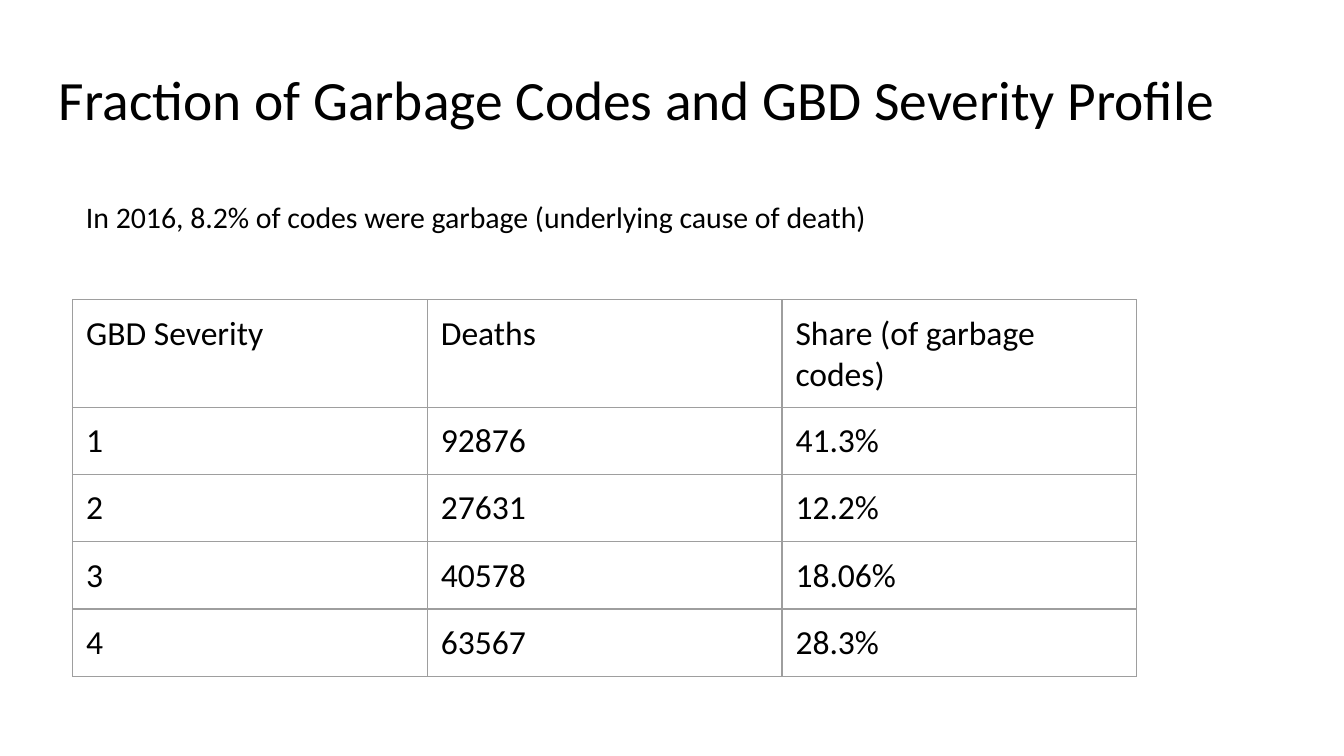
from lxml import etree
from pptx import Presentation
from pptx.dml.color import RGBColor
from pptx.oxml.ns import qn
from pptx.util import Pt

BLACK = RGBColor(0x00, 0x00, 0x00)
GREY = RGBColor(0x9E, 0x9E, 0x9E)
PAD = Pt(7.2)
SIDES = ("left", "right", "top", "bottom")

ROWS = [
    ("GBD Severity", "Deaths", "Share (of garbage codes)"),
    ("1", "92876", "41.3%"),
    ("2", "27631", "12.2%"),
    ("3", "40578", "18.06%"),
    ("4", "63567", "28.3%"),
]
TEXTS = [
    ("Fraction of Garbage Codes and GBD Severity Profile",
     (24.5, 31.9, 671, 45.1), 29.7, 0.9),
    ("In 2016, 8.2% of codes were garbage (underlying cause of death)",
     (39, 99.3, 485, 33.8), 16, 1),
]


def write(frame, text, size):
    frame.text = text
    font = frame.paragraphs[0].runs[0].font
    for key, value in {"name": "Calibri", "size": Pt(size), "bold": False}.items():
        setattr(font, key, value)
    font.color.rgb = BLACK


def add_edges(cell):
    """Draw a thin grey line on all four sides of a cell."""
    props = cell._tc.get_or_add_tcPr()
    for spot, tag in enumerate(("a:lnL", "a:lnR", "a:lnT", "a:lnB")):
        line = etree.Element(qn(tag), w=str(Pt(0.75)))
        fill = etree.SubElement(line, qn("a:solidFill"))
        etree.SubElement(fill, qn("a:srgbClr"), val=str(GREY))
        props.insert(spot, line)


deck = Presentation()
deck.slide_width, deck.slide_height = Pt(720), Pt(405)
slide = deck.slides.add_slide(deck.slide_layouts[6])

for text, area, size, space in TEXTS:
    frame = slide.shapes.add_textbox(*map(Pt, area)).text_frame
    frame.word_wrap = True
    for side in SIDES:
        setattr(frame, f"margin_{side}", PAD)
    write(frame, text, size)
    frame.paragraphs[0].line_spacing = space

table = slide.shapes.add_table(
    len(ROWS), len(ROWS[0]), Pt(39), Pt(160.5), Pt(570), Pt(152.5)).table
table.first_row = table.horz_banding = False

for r, row in enumerate(ROWS):
    for c, text in enumerate(row):
        cell = table.cell(r, c)
        for side in SIDES:
            setattr(cell, f"margin_{side}", PAD)
        write(cell.text_frame, text, 18)
        cell.fill.background()
        add_edges(cell)

deck.save("out.pptx")
